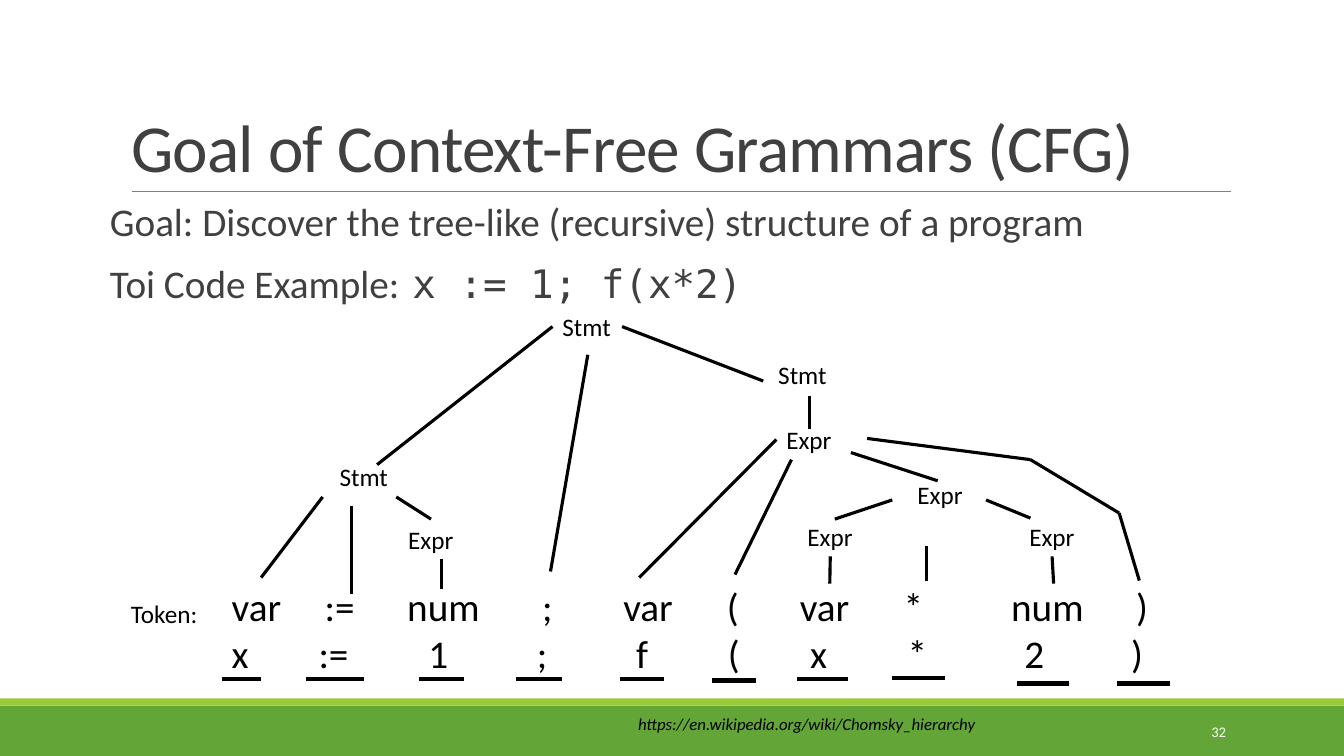
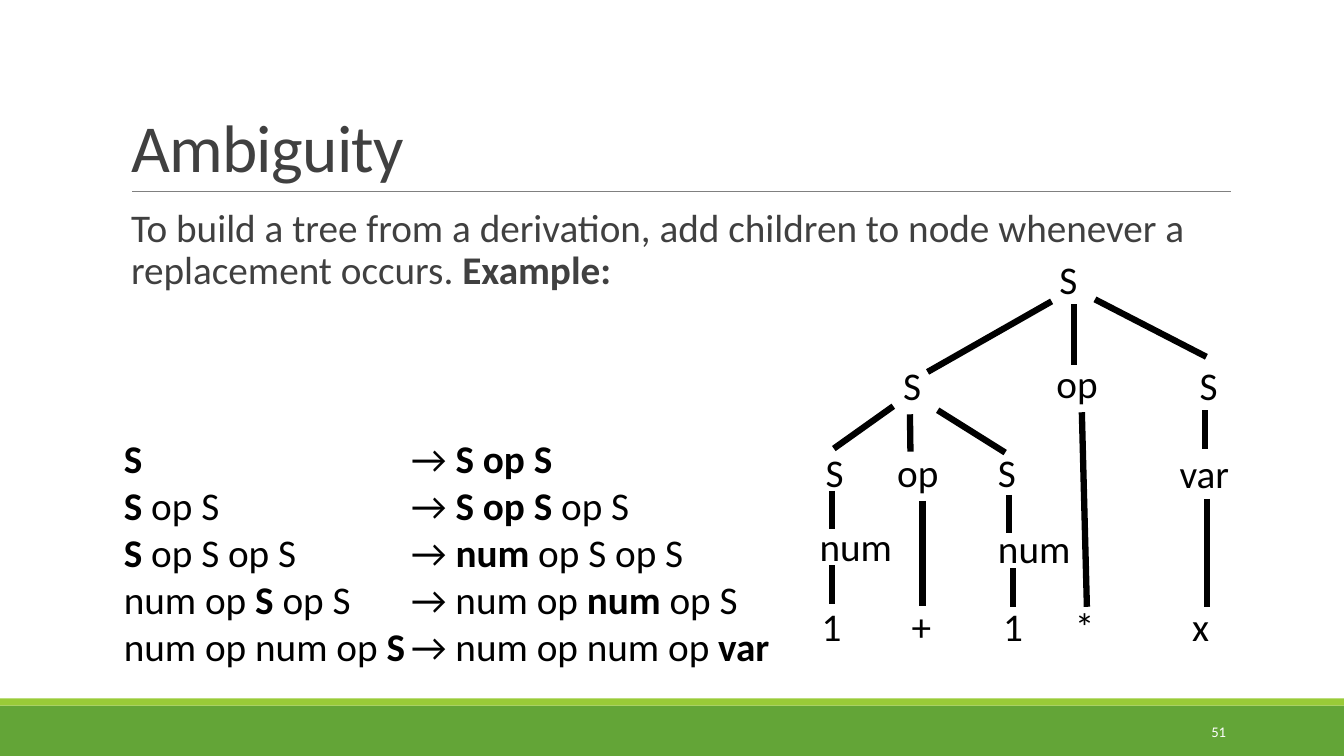
from dataclasses import dataclass

from lxml import etree
from pptx import Presentation
from pptx.dml.color import RGBColor
from pptx.enum.shapes import MSO_CONNECTOR, MSO_SHAPE
from pptx.enum.text import MSO_ANCHOR, MSO_AUTO_SIZE, PP_ALIGN
from pptx.oxml.ns import qn
from pptx.util import Inches, Pt

STRAIGHT = MSO_CONNECTOR.STRAIGHT
RECTANGLE = MSO_SHAPE.RECTANGLE
TOP, MIDDLE, BOTTOM = MSO_ANCHOR.TOP, MSO_ANCHOR.MIDDLE, MSO_ANCHOR.BOTTOM
LEFT, RIGHT = PP_ALIGN.LEFT, PP_ALIGN.RIGHT
NO_FIT = MSO_AUTO_SIZE.NONE


@dataclass(frozen=True)
class Theme:
    font: str = "Calibri"
    mono: str = "DejaVu Sans Mono"
    heading: str = "404040"
    ink: str = "000000"
    rule: str = "808080"
    band: str = "63A537"
    stripe: str = "99CB38"
    page: str = "FFFFFF"
    title_size: float = 48
    text_size: float = 28
    node_size: float = 18
    source_size: float = 12
    page_size: float = 10.5


THEME = Theme()
BOLD = {"bold": True}
BODY_SPACING = {"line_spacing": 0.9, "space_after": Pt(2)}


class Deck:
    """Holds the style, the presentation and the current slide."""

    def __init__(self, theme):
        self.theme = theme
        self.prs = Presentation()
        self.prs.slide_width, self.prs.slide_height = Inches(13.33), Inches(7.5)
        self.slide = None
        self.nodes = []

    def new_slide(self, title, number):
        self.slide = self.prs.slides.add_slide(self.prs.slide_layouts[1])
        self.nodes = []
        self.title(title)
        # Bands, title rule and page number
        self.band(7, 0.5, self.theme.band)
        self.band(6.93, 0.07, self.theme.stripe)
        self.line((1.31, 1.9), (12.21, 1.9), 0.5, self.theme.rule)
        self.text((10.83, 7.06, 1.43, 0.4), [number], self.theme.page_size,
                  self.theme.page, anchor=MIDDLE, spacing={"alignment": RIGHT})

    def place(self, shape, at):
        shape.left, shape.top, shape.width, shape.height = map(Inches, at)

    def frame(self, shape, anchor=TOP, wrap=True):
        frame = shape.text_frame
        settings = {"word_wrap": wrap, "auto_size": NO_FIT,
                    "vertical_anchor": anchor,
                    "margin_left": Inches(0.1), "margin_right": Inches(0.1),
                    "margin_top": Inches(0.05), "margin_bottom": Inches(0.05)}
        for name, value in settings.items():
            setattr(frame, name, value)
        return frame

    def fill_paragraph(self, paragraph, text, size, color, mark=BOLD, spacing=None,
                       tabs=()):
        """Add the text as runs; parts between bars take the mark format."""
        for name, value in (spacing or {}).items():
            setattr(paragraph, name, value)
        if tabs:
            stops = etree.SubElement(paragraph._p.get_or_add_pPr(), qn("a:tabLst"))
            for align, position in tabs:
                etree.SubElement(stops, qn("a:tab"), pos=str(Inches(position)), algn=align)
        for index, part in enumerate(text.split("|")):
            if not part:
                continue
            run = paragraph.add_run()
            run.text = part
            font = {"name": self.theme.font, "size": Pt(size)}
            if index % 2:
                font.update(mark)
            for name, value in font.items():
                setattr(run.font, name, value)
            run.font.color.rgb = RGBColor.from_string(color)

    def title(self, text):
        heading = self.slide.shapes.title
        self.place(heading, (1.2, 0.31, 11, 1.59))
        paragraph = self.frame(heading, BOTTOM).paragraphs[0]
        self.fill_paragraph(paragraph, text, self.theme.title_size, self.theme.heading,
                            spacing={"line_spacing": 0.85, "alignment": LEFT})
        paragraph.runs[0].font._rPr.set("spc", "-50")

    def body(self, at, lines, mark=BOLD, tabs=()):
        body = self.slide.placeholders[1]
        self.place(body, at)
        frame = self.frame(body)
        for index, line in enumerate(lines):
            paragraph = frame.add_paragraph() if index else frame.paragraphs[0]
            properties = paragraph._p.get_or_add_pPr()
            properties.set("marL", "0")
            properties.set("indent", "0")
            etree.SubElement(properties, qn("a:buNone"))
            before = Pt(12 if index else 0)
            self.fill_paragraph(paragraph, line, self.theme.text_size,
                                self.theme.heading, mark,
                                {**BODY_SPACING, "space_before": before}, tabs)

    def text(self, at, lines, size, color=THEME.ink, anchor=TOP, wrap=True,
             mark=BOLD, spacing=None, tabs=()):
        """Add a text box; tabs holds one list of stops per line."""
        box = self.slide.shapes.add_textbox(*map(Inches, at))
        frame = self.frame(box, anchor, wrap)
        for index, line in enumerate(lines):
            paragraph = frame.add_paragraph() if index else frame.paragraphs[0]
            stops = tabs[index] if tabs else ()
            self.fill_paragraph(paragraph, line, size, color, mark, spacing, stops)
        return box

    def node(self, label, at, size, wrap=True):
        self.nodes.append((self.text(at, [label], size, wrap=wrap), at))

    def band(self, top, height, color):
        band = self.slide.shapes.add_shape(
            RECTANGLE, 0, Inches(top), self.prs.slide_width, Inches(height))
        band.shadow.inherit = False
        band.fill.solid()
        band.fill.fore_color.rgb = RGBColor.from_string(color)
        band.line.fill.background()

    def site(self, point):
        """Find the node side whose middle lies at the point."""
        for box, (left, top, width, height) in self.nodes:
            sides = ((left + width / 2, top), (left, top + height / 2),
                     (left + width / 2, top + height), (left + width, top + height / 2))
            for index, (x, y) in enumerate(sides):
                if max(abs(x - point[0]), abs(y - point[1])) < 0.035:
                    return box, index
        return None

    def line(self, start, end, width, color=THEME.ink):
        line = self.slide.shapes.add_connector(STRAIGHT, *map(Inches, (*start, *end)))
        line.line.width = Pt(width)
        line.line.color.rgb = RGBColor.from_string(color)
        etree.SubElement(line._element.spPr, qn("a:effectLst"))
        for point, join in ((start, line.begin_connect), (end, line.end_connect)):
            found = self.site(point)
            if found:
                join(*found)


def centre_tabs(origin, centres):
    return [("ctr", round(centre - origin, 2)) for centre in centres]


def grammar_goal(deck):
    deck.new_slide("Goal of Context-Free Grammars (CFG)", "32")
    deck.body((0.99, 1.96, 9.96, 4.78),
              ["Goal: Discover the tree-like (recursive) structure of a program",
               "Toi Code Example:\t|x := 1; f(x*2)|"],
              mark={"name": THEME.mono}, tabs=[("l", 3.07)])
    deck.text((6.23, 7.03, 5, 0.3), ["|https://en.wikipedia.org/wiki/Chomsky_hierarchy|"],
              THEME.source_size, mark={"italic": True})

    # Token kinds above the code they stand for
    kinds = ["var", ":=", "num", ";", "var", "(", "var", "*", "num", ")"]
    lexemes = ["x", ":=", "1", ";", "f", "(", "x", "*", "2", ")"]
    kind_centres = [3.37, 4.4, 5.43, 6.43, 7.27, 8.18, 9.06, 10.39, 11.33]
    lexeme_centres = [3.31, 4.35, 5.38, 6.37, 7.28, 8.12, 9.1, 10.26, 11.28]
    deck.text((2.2, 5.73, 9.5, 1.04), ["\t".join(kinds), "\t".join(lexemes)],
              THEME.text_size,
              tabs=[centre_tabs(2.3, kind_centres), centre_tabs(2.3, lexeme_centres)])
    deck.text((1.2, 5.89, 0.87, 0.4), ["Token:"], THEME.node_size, wrap=False)
    underlines = [(2.2, 2.59, 6.74), (3.04, 3.61, 6.74), (4.16, 4.6, 6.74),
                  (5.12, 5.57, 6.74), (6.15, 6.59, 6.74), (7.06, 7.5, 6.75),
                  (7.9, 8.41, 6.74), (8.85, 9.37, 6.73), (10.09, 10.6, 6.78),
                  (11.08, 11.6, 6.78)]
    for left, right, y in underlines:
        deck.line((left, y), (right, y), 3)

    # Parse tree
    widths = {"Stmt": 0.69, "Expr": 0.65}
    tree = [("Stmt", 5.48, 3.04), ("Stmt", 7.62, 3.52), ("Stmt", 3.27, 4.53),
            ("Expr", 7.7, 4.16), ("Expr", 9, 4.71), ("Expr", 3.95, 5.15),
            ("Expr", 7.91, 5.12), ("Expr", 10.11, 5.12)]
    for label, left, top in tree:
        deck.node(label, (left, top, widths[label], 0.4), THEME.node_size, wrap=False)
    call_end = [(8.6, 4.35), (10.22, 4.56), (11.1, 5.09), (11.3, 5.76)]
    branches = [
        ((5.48, 3.25), (3.74, 4.61)), ((5.83, 3.52), (5.46, 5.67)),
        ((6.17, 3.25), (7.57, 3.78)), ((8.03, 3.93), (8.03, 4.26)),
        ((3.2, 4.93), (2.59, 5.73)), ((3.49, 5.02), (3.49, 5.89)),
        ((3.93, 4.93), (4.28, 5.15)), ((4.38, 5.55), (4.38, 5.84)),
        ((7.68, 4.36), (6.34, 5.73)), ((7.85, 4.56), (7.29, 5.7)),
        ((8.44, 4.49), (9.3, 4.77)), ((8.85, 4.96), (8.28, 5.15)),
        ((9.19, 5.42), (9.19, 5.76)), ((9.78, 4.96), (10.22, 5.14)),
        ((8.23, 5.55), (8.23, 5.79)), ((10.45, 5.55), (10.45, 5.79)),
        *zip(call_end, call_end[1:])]
    for parent, child in branches:
        deck.line(parent, child, 2.25)


def ambiguity(deck):
    deck.new_slide("Ambiguity", "51")
    deck.body((1.2, 2.02, 11, 4.4),
              ["To build a tree from a derivation, add children to node whenever "
               "a replacement occurs. |Example:|"])

    # Derivation steps
    steps = ["|S|\t→ |S op S|",
             "|S| op S\t→ |S op S| op S",
             "|S| op S op S\t→ |num| op S op S",
             "num op |S| op S\t→ num op |num| op S",
             "num op num op |S|\t→ num op num op |var|"]
    deck.text((1.13, 4.26, 6.85, 2.5), steps, THEME.text_size,
              tabs=[[("l", 2.85)]] * len(steps))

    # Derivation tree
    widths = {"S": 0.33, "op": 0.7, "num": 1.04, "var": 1.05}
    tree = [("S", 10.41, 2.48), ("S", 8.86, 3.54), ("op", 10.38, 3.52),
            ("S", 11.8, 3.54), ("S", 8.09, 4.4), ("op", 8.8, 4.4), ("S", 9.8, 4.4),
            ("var", 11.6, 4.41), ("num", 8.03, 5.13), ("num", 9.8, 5.15)]
    for label, left, top in tree:
        deck.node(label, (left, top, widths[label], 0.57), THEME.text_size)
    deck.text((8.05, 5.93, 4.5, 0.57), ["1\t+\t1\t*\tx"], THEME.text_size,
              tabs=[centre_tabs(8.15, [9.14, 10.05, 10.76, 11.91])])
    branches = [
        ((10.43, 2.99), (9.2, 3.69)), ((10.65, 3.02), (10.65, 3.62)),
        ((10.86, 2.97), (11.97, 3.54)), ((8.86, 4.03), (8.27, 4.45)),
        ((9.03, 4.1), (9.03, 4.48)), ((9.3, 4.07), (9.97, 4.49)),
        ((11.95, 4.07), (11.95, 4.45)), ((8.25, 4.87), (8.25, 5.25)),
        ((10.01, 4.91), (10.01, 5.29)), ((8.25, 5.61), (8.25, 5.99)),
        ((9.15, 4.97), (9.15, 6.01)), ((10.05, 5.64), (10.05, 6.02)),
        ((10.73, 4.1), (10.78, 6.02)), ((11.97, 4.95), (11.97, 6.02))]
    for parent, child in branches:
        deck.line(parent, child, 4.5)


def main():
    deck = Deck(THEME)
    grammar_goal(deck)
    ambiguity(deck)
    deck.prs.save("out.pptx")


if __name__ == "__main__":
    main()
